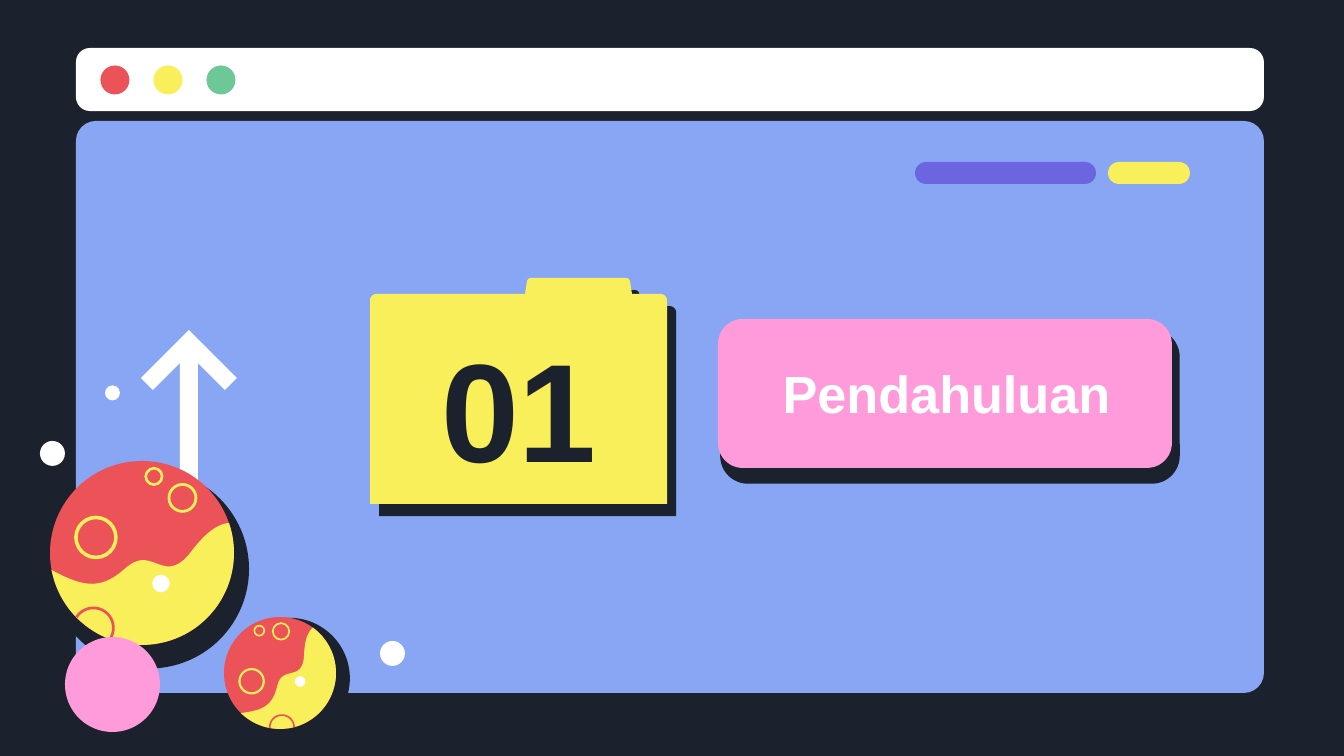
import math

import pptx
import pptx.dml.color
import pptx.enum.shapes
import pptx.enum.text
import pptx.oxml
import pptx.oxml.ns
import pptx.util

PX = 914400 / 134.4
W, H = 1344, 756
DARK, WHITE, BLUE, PURPLE = "1B222D", "FFFFFF", "88A6F3", "6D65E0"
RED, YELLOW, GREEN, PINK = "EB5358", "F8EF5B", "6DC797", "FF9BDA"
SHAPE = pptx.enum.shapes.MSO_SHAPE


def px(value):
    return pptx.util.Emu(round(value * PX))


def rgb(color):
    return pptx.dml.color.RGBColor.from_string(color)


def paint(sp, fill=None, line=None, width=0):
    """Set fill and outline (width in px); None leaves either empty."""
    sp.shadow.inherit = False
    if fill:
        sp.fill.solid()
        sp.fill.fore_color.rgb = rgb(fill)
    else:
        sp.fill.background()
    if line:
        sp.line.color.rgb = rgb(line)
        sp.line.width = px(width)
    else:
        sp.line.fill.background()
    return sp


def add_round_rect(s, box, radius, fill, **line):
    sp = s.shapes.add_shape(SHAPE.ROUNDED_RECTANGLE, *map(px, box))
    sp.adjustments[0] = radius / min(box[2:])
    return paint(sp, fill, **line)


def add_circle(s, cx, cy, r, fill=None, **line):
    sp = s.shapes.add_shape(SHAPE.OVAL, *map(px, (cx - r, cy - r, 2 * r, 2 * r)))
    return paint(sp, fill, **line)


def add_outline(s, points, fill=None, close=True, **line):
    emu = [(px(x), px(y)) for x, y in points]
    fb = s.shapes.build_freeform(*emu[0], scale=1.0)
    fb.add_line_segments(emu[1:], close=close)
    return paint(fb.convert_to_shape(), fill, **line)


def bezier(p0, c1, c2, p3, steps=16):
    points = []
    for i in range(steps + 1):
        t = i / steps
        weights = ((1 - t) ** 3, 3 * t * (1 - t) ** 2, 3 * t * t * (1 - t), t ** 3)
        points.append(tuple(sum(w * p[k] for w, p in zip(weights, (p0, c1, c2, p3)))
                            for k in (0, 1)))
    return points


def arc(cx, cy, r, start, end, steps=60):
    angles = [math.radians(start + (end - start) * i / steps) for i in range(steps + 1)]
    return [(cx + r * math.cos(a), cy + r * math.sin(a)) for a in angles]


def set_text(sp, box, text, size, color, font="Arial", bold=True):
    sp.left, sp.top, sp.width, sp.height = map(px, box)
    tf = sp.text_frame
    tf.word_wrap = True
    tf.auto_size = pptx.enum.text.MSO_AUTO_SIZE.NONE
    tf.vertical_anchor = pptx.enum.text.MSO_ANCHOR.MIDDLE
    tf.margin_left = tf.margin_right = tf.margin_top = tf.margin_bottom = px(13)
    p = tf.paragraphs[0]
    p.alignment = pptx.enum.text.PP_ALIGN.CENTER
    r = p.add_run()
    r.text = text
    r.font.size = pptx.util.Pt(size)
    r.font.name = font
    r.font.bold = bold
    r.font.color.rgb = rgb(color)


def add_window(s, x, y, w, h):
    """Browser window: page, title bar with three buttons, two tabs."""
    add_round_rect(s, (x, y + 73, w, h - 73), 20, BLUE)
    add_round_rect(s, (x, y, w, 63), 14, WHITE)
    for i, color in enumerate((RED, YELLOW, GREEN)):
        add_circle(s, x + 39 + 53 * i, y + 32, 14.5, color)
    for left, width, color in ((839, 181, PURPLE), (1032, 82, YELLOW)):
        add_round_rect(s, (x + left, y + 114, width, 22), 11, color)


def add_arrow(s, x, y, w, h):
    """Upward arrow, mirrored around its middle."""
    half = [(39, h), (39, 33), (12, 60), (0, 48)]
    points = half + [(w / 2, 0)] + [(w - px_x, px_y) for px_x, px_y in reversed(half)]
    add_outline(s, [(x + a, y + b) for a, b in points], WHITE)


def add_label(s, x, y, w, h, text):
    """Title on a rounded button with a dark slab behind it."""
    add_round_rect(s, (x + 5, y + 13, w, h), 25, DARK, line=DARK, width=5.6)
    add_round_rect(s, (x, y, w, h), 25, PINK)
    title = s.shapes.title
    s.shapes._spTree.append(title._element)
    set_text(title, (x + 14, y + 12, 429, 124), text, 28, WHITE)


def add_folder(s, x, y, w, h, number):
    """Folder with a tab, a hard shadow and the section number."""
    corners = [
        [(0, h)],
        bezier((0, 22), (0, 19), (3, 16), (6, 16), 6),
        [(155, 16)],
        bezier((157, 3), (158, 1), (159, 0), (161, 0), 6),
        bezier((256, 0), (258, 0), (259, 1), (260, 3), 6),
        [(262, 16)],
        bezier((w - 6, 16), (w - 3, 16), (w, 19), (w, 22), 6),
        [(w, h)],
    ]
    sp = add_outline(s, [(x + a, y + b) for c in corners for a, b in c], YELLOW)
    effects = sp._element.spPr.find(pptx.oxml.ns.qn("a:effectLst"))
    effects.append(pptx.oxml.parse_xml(
        f'<a:outerShdw {pptx.oxml.ns.nsdecls("a")} blurRad="0" dist="104140" '
        f'dir="3180000" algn="bl" rotWithShape="0"><a:srgbClr val="{DARK}"/></a:outerShdw>'))
    box = s.shapes.add_textbox(0, 0, 0, 0)
    set_text(box, (x + 35, y + 62, 228, 133), number, 75, DARK)


def add_planet(s, x, y, size, turn=0):
    """Two-coloured planet, drawn on a disc of radius 92 and turned by degrees."""
    radius = 92
    k = size / 2 / radius
    cos, sin = math.cos(math.radians(turn)), math.sin(math.radians(turn))

    def place(a, b):
        return (x + size / 2 + k * (a * cos - b * sin),
                y + size / 2 + k * (a * sin + b * cos))

    add_circle(s, *place(7.5, 16), 99.5 * k, DARK)
    add_circle(s, *place(0, 0), radius * k, RED)
    # Craters: centre, radius, line width
    for a, b, r, width in ((-46, -15.5, 20, 3.6), (40.5, -55, 13.5, 2.8), (12, -76.5, 8.2, 2.6)):
        add_circle(s, *place(a, b), r * k, line=YELLOW, width=width * k)
    # Lower half, bounded by a wave and the rim
    wave = (bezier((-90.5, 17), (-55.5, 36), (-39.5, 36), (-15, 14))
            + bezier((-15, 14), (12, -9), (22.5, 37), (52, -5))
            + bezier((52, -5), (67, -23.5), (77.5, -29), (87, -30)))
    rim = arc(0, 0, radius, -19, 169)
    add_outline(s, [place(*p) for p in wave + rim], YELLOW)
    crater = arc(-48.5, 75, 20, -148, 34)
    add_outline(s, [place(*p) for p in crater], close=False, line=RED, width=2.7 * k)
    add_circle(s, *place(19, 30.5), 8.8 * k, WHITE)


def main():
    prs = pptx.Presentation()
    prs.slide_width, prs.slide_height = px(W), px(H)
    s = prs.slides.add_slide(prs.slide_layouts[5])
    s.background.fill.solid()
    s.background.fill.fore_color.rgb = rgb(DARK)

    add_window(s, 76, 48, 1188, 645)
    add_arrow(s, 141, 330, 96, 246)
    add_label(s, 718, 319, 454, 149, "Pendahuluan")
    add_folder(s, 370, 278, 297, 226, "01")

    # Planets, moon and stars
    add_planet(s, 50, 461, 184)
    add_circle(s, 112.5, 684.5, 47.5, PINK)
    add_planet(s, 224, 617, 112, turn=-35)
    for cx, cy, r in ((52.5, 453.5, 12.5), (392.5, 653.5, 12.5), (112.5, 393, 7.5)):
        add_circle(s, cx, cy, r, WHITE)

    prs.save("out.pptx")


if __name__ == "__main__":
    main()
